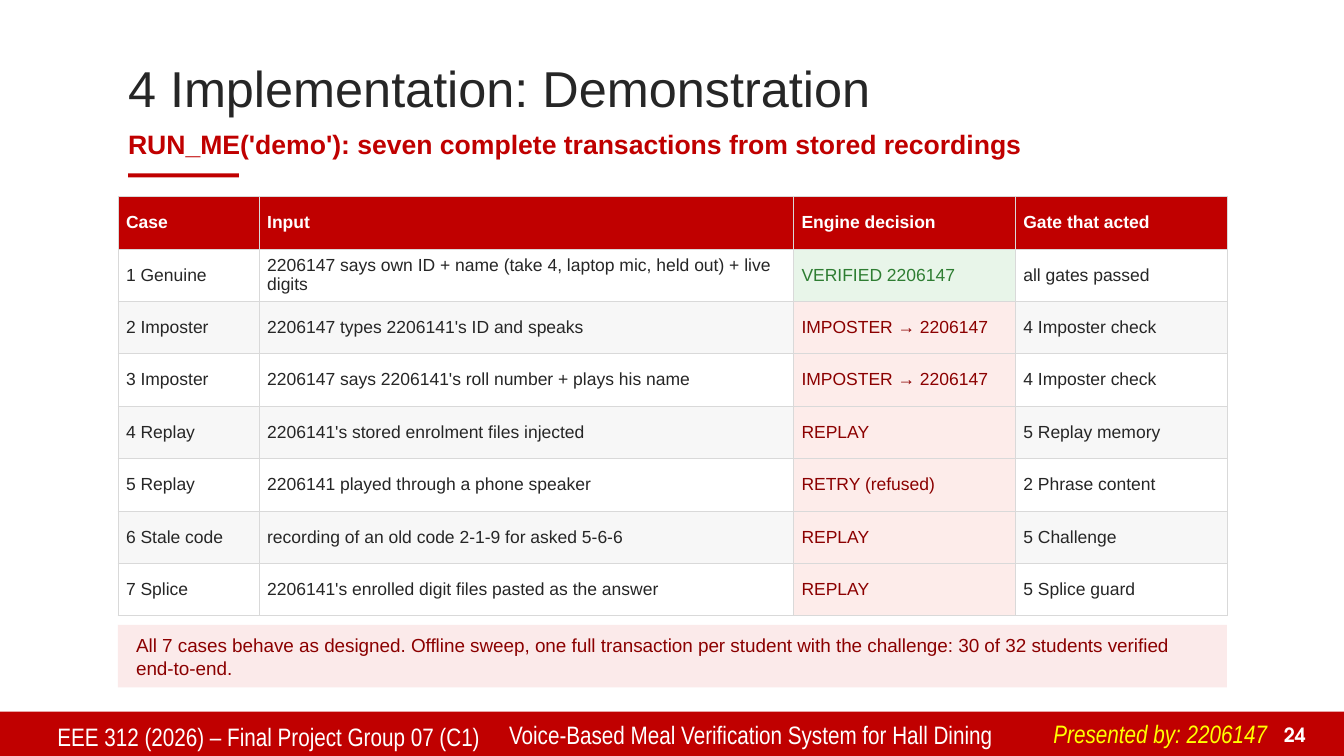
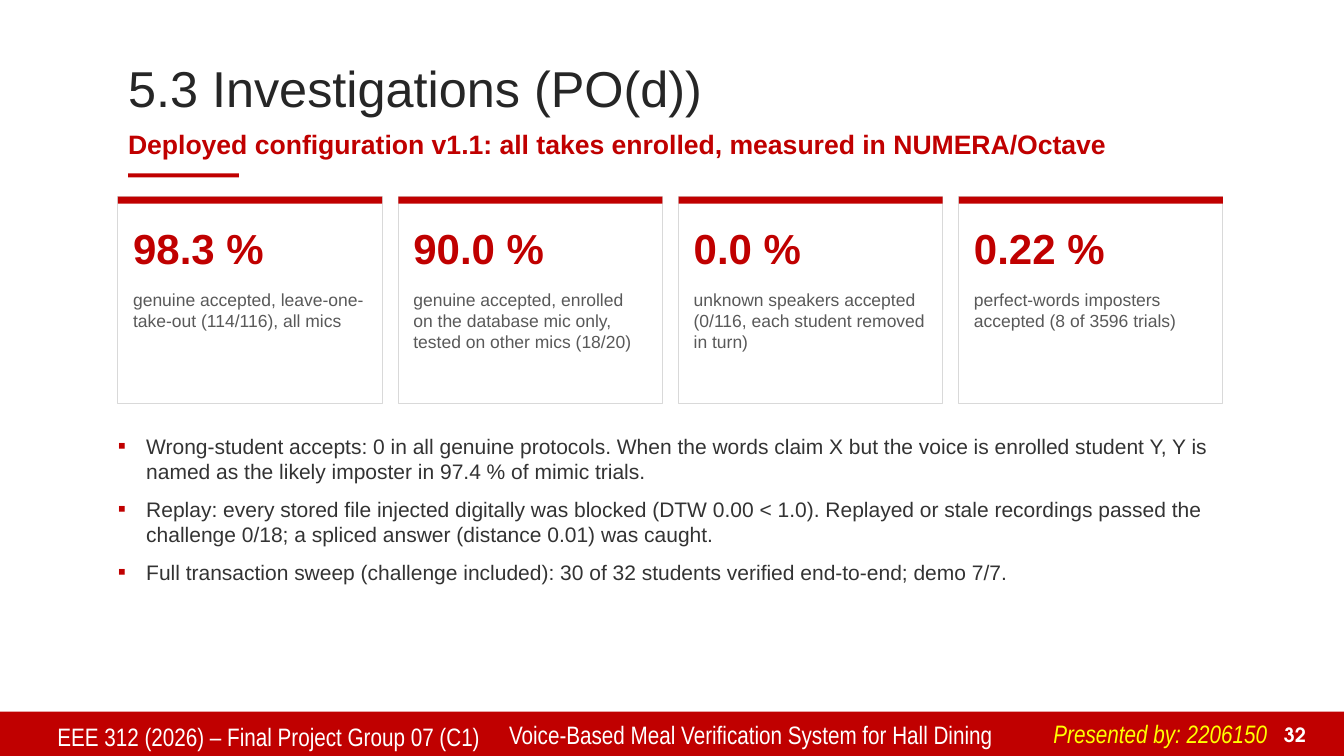
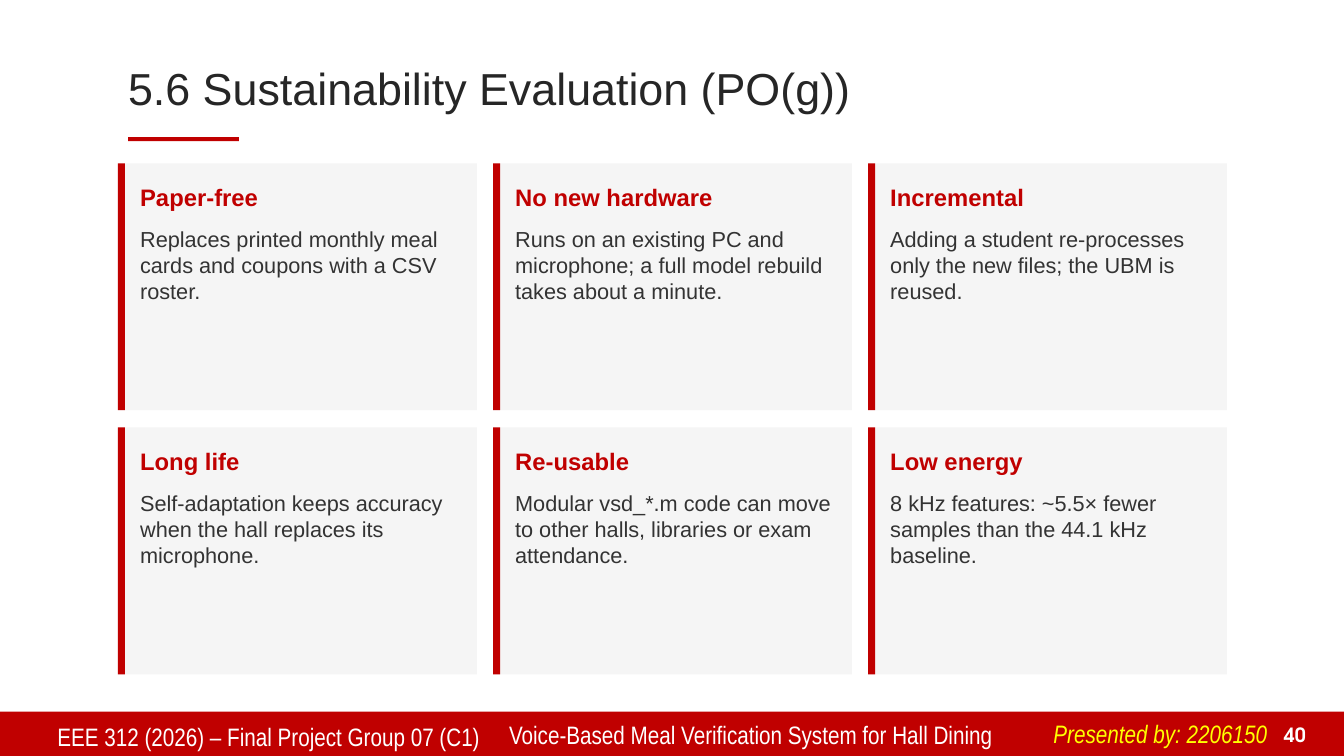
from dataclasses import dataclass

from lxml import etree
from pptx import Presentation
from pptx.dml.color import RGBColor
from pptx.enum.shapes import MSO_SHAPE
from pptx.enum.text import MSO_ANCHOR, MSO_AUTO_SIZE, PP_ALIGN
from pptx.oxml.ns import qn
from pptx.util import Inches, Pt


@dataclass(frozen=True)
class Theme:
    # Fonts
    font: str = "Arial"
    narrow: str = "Arial Narrow"
    number: str = "TeX Gyre Adventor"
    # Colours
    red: str = "C00000"
    dark_red: str = "8B0000"
    ink: str = "262626"
    text: str = "333333"
    muted: str = "595959"
    white: str = "FFFFFF"
    yellow: str = "FFFF00"
    rule: str = "D9D9D9"
    stripe: str = "F7F7F7"
    card: str = "F5F5F5"
    note: str = "FBEAEA"
    green: str = "2E7D32"
    pass_fill: str = "E8F5E9"
    fail_fill: str = "FDECEA"
    # Type sizes
    title_pt: float = 36
    long_title_pt: float = 32
    subtitle_pt: float = 19
    footer_pt: float = 18
    number_pt: float = 14
    table_pt: float = 12.5
    note_pt: float = 13.5
    value_pt: float = 30
    label_pt: float = 12.5
    list_pt: float = 15
    heading_pt: float = 17
    card_pt: float = 15.5


T = Theme()
LEFT, WIDTH, GAP = 1.17, 11, 0.16   # content column, gap between cards
TOP = 1.95                          # content top below a subtitle

DEMO_ROWS = [
    ("Case", "Input", "Engine decision", "Gate that acted"),
    ("1 Genuine", "2206147 says own ID + name (take 4, laptop mic, held out) + live digits",
     "VERIFIED 2206147", "all gates passed"),
    ("2 Imposter", "2206147 types 2206141's ID and speaks",
     "IMPOSTER → 2206147", "4 Imposter check"),
    ("3 Imposter", "2206147 says 2206141's roll number + plays his name",
     "IMPOSTER → 2206147", "4 Imposter check"),
    ("4 Replay", "2206141's stored enrolment files injected", "REPLAY", "5 Replay memory"),
    ("5 Replay", "2206141 played through a phone speaker", "RETRY (refused)", "2 Phrase content"),
    ("6 Stale code", "recording of an old code 2-1-9 for asked 5-6-6", "REPLAY", "5 Challenge"),
    ("7 Splice", "2206141's enrolled digit files pasted as the answer", "REPLAY", "5 Splice guard"),
]
DEMO_NOTE = ("All 7 cases behave as designed. Offline sweep, one full transaction per student "
             "with the challenge: 30 of 32 students verified end-to-end.")
STATS = [
    ("98.3 %", "genuine accepted, leave-one-take-out (114/116), all mics"),
    ("90.0 %", "genuine accepted, enrolled on the database mic only, tested on other mics (18/20)"),
    ("0.0 %", "unknown speakers accepted (0/116, each student removed in turn)"),
    ("0.22 %", "perfect-words imposters accepted (8 of 3596 trials)"),
]
FINDINGS = [
    "Wrong-student accepts: 0 in all genuine protocols. When the words claim X but the voice is "
    "enrolled student Y, Y is named as the likely imposter in 97.4 % of mimic trials.",
    "Replay: every stored file injected digitally was blocked (DTW 0.00 < 1.0). Replayed or stale "
    "recordings passed the challenge 0/18; a spliced answer (distance 0.01) was caught.",
    "Full transaction sweep (challenge included): 30 of 32 students verified end-to-end; demo 7/7.",
]
BENEFITS = [
    ("Paper-free", "Replaces printed monthly meal cards and coupons with a CSV roster."),
    ("No new hardware",
     "Runs on an existing PC and microphone; a full model rebuild takes about a minute."),
    ("Incremental", "Adding a student re-processes only the new files; the UBM is reused."),
    ("Long life", "Self-adaptation keeps accuracy when the hall replaces its microphone."),
    ("Re-usable", "Modular vsd_*.m code can move to other halls, libraries or exam attendance."),
    ("Low energy", "8 kHz features: ~5.5× fewer samples than the 44.1 kHz baseline."),
]


# Basic elements
def rgb(color):
    return RGBColor.from_string(color)


def style(p, size, color, font=T.font, bold=False, italic=False):
    f = p.font
    f.name, f.size, f.bold, f.italic = font, Pt(size), bold, italic
    f.color.rgb = rgb(color)


def place(shape, x, y, w, h):
    shape.left, shape.top, shape.width, shape.height = map(Inches, (x, y, w, h))


def add_rect(s, x, y, w, h, fill, line=None):
    sp = s.shapes.add_shape(MSO_SHAPE.RECTANGLE, *map(Inches, (x, y, w, h)))
    sp.shadow.inherit = False
    sp.fill.solid()
    sp.fill.fore_color.rgb = rgb(fill)
    if line:
        sp.line.color.rgb = rgb(line)
        sp.line.width = Pt(0.75)
    else:
        sp.line.fill.background()
    return sp


def set_margins(tf, margin):
    tf.margin_left = tf.margin_right = tf.margin_top = tf.margin_bottom = Inches(margin)


def add_text(s, x, y, w, h, text, size, color, anchor=MSO_ANCHOR.TOP, inset=False, **font):
    tf = s.shapes.add_textbox(*map(Inches, (x, y, w, h))).text_frame
    tf.word_wrap = True
    tf.vertical_anchor = anchor
    if not inset:
        set_margins(tf, 0)
    p = tf.paragraphs[0]
    p.text = text
    style(p, size, color, **font)
    return p


# Shared slide parts
def setup_master(prs, s):
    place(prs.slide_master.placeholders[0], LEFT, 0.5, WIDTH, 0.8)
    band = add_rect(s, 0, 7.06, 13.33, 0.45, T.red)
    prs.slide_master.shapes.element.insert(2, band.element)


def add_footer(s, number, presenter):
    add_text(s, 0.47, 7.11, 4.45, 0.39, "EEE 312 (2026) – Final Project Group 07 (C1)",
             T.footer_pt, T.white, inset=True, font=T.narrow)
    add_text(s, 4.95, 7.09, 5.35, 0.41, "Voice-Based Meal Verification System for Hall Dining",
             T.footer_pt, T.white, inset=True, font=T.narrow)
    p = add_text(s, 12.48, 7.11, 0.57, 0.34, str(number), T.number_pt, T.white,
                 MSO_ANCHOR.BOTTOM, inset=True, font=T.number, bold=True)
    p.alignment = PP_ALIGN.RIGHT
    add_text(s, 10.35, 7.08, 2.42, 0.4, f"Presented by: {presenter}",
             T.footer_pt, T.yellow, inset=True, font=T.narrow, italic=True)


def new_slide(prs, layout, title, number, presenter, subtitle=None, size=T.title_pt):
    s = prs.slides.add_slide(prs.slide_layouts.get_by_name(layout))
    tf = s.shapes.title.text_frame
    tf.auto_size = MSO_AUTO_SIZE.NONE
    tf.vertical_anchor = MSO_ANCHOR.MIDDLE
    p = tf.paragraphs[0]
    p.text = title
    p.alignment = PP_ALIGN.LEFT
    p.line_spacing = 0.9
    style(p, size, T.ink)
    add_footer(s, number, presenter)
    if subtitle:
        add_text(s, 1.27, 1.2, 10.9, 0.46, subtitle, T.subtitle_pt, T.red,
                 MSO_ANCHOR.MIDDLE, bold=True)
    add_rect(s, 1.27, 1.72 if subtitle else 1.36, 1.1, 0.04, T.red)
    return s


# Table
def add_borders(cell):
    tc_pr = cell._tc.get_or_add_tcPr()
    for i, side in enumerate(("lnL", "lnR", "lnT", "lnB")):
        ln = etree.Element(qn(f"a:{side}"), w=str(Pt(0.5)))
        fill = etree.SubElement(ln, qn("a:solidFill"))
        etree.SubElement(fill, qn("a:srgbClr"), val=T.rule)
        tc_pr.insert(i, ln)


def cell_colors(row, col, text):
    if row == 0:
        return T.red, T.white
    if col == 2:
        passed = text.startswith("VERIFIED")
        return (T.pass_fill, T.green) if passed else (T.fail_fill, T.dark_red)
    return (T.white if row % 2 else T.stripe), T.ink


def add_demo_table(s, rows, widths, row_height):
    table = s.shapes.add_table(len(rows), len(widths), Inches(LEFT), Inches(TOP),
                               Inches(WIDTH), Inches(row_height * len(rows))).table
    for column, width in zip(table.columns, widths):
        column.width = Inches(width)
    for i, row in enumerate(rows):
        for j, text in enumerate(row):
            cell = table.cell(i, j)
            fill, color = cell_colors(i, j, text)
            cell.fill.solid()
            cell.fill.fore_color.rgb = rgb(fill)
            cell.vertical_anchor = MSO_ANCHOR.MIDDLE
            cell.margin_left = cell.margin_right = Inches(0.08)
            cell.margin_top = cell.margin_bottom = Inches(0.04)
            p = cell.text_frame.paragraphs[0]
            p.text = text
            style(p, T.table_pt, color, bold=i == 0)
            add_borders(cell)


def add_note(s, y, text):
    add_rect(s, LEFT, y, WIDTH, 0.62, T.note)
    add_text(s, LEFT + 0.18, y + 0.06, 10.64, 0.5, text, T.note_pt, T.dark_red, MSO_ANCHOR.MIDDLE)


# Cards
def add_stat(s, x, y, w, value, label):
    add_rect(s, x, y, w, 2.05, T.white, T.rule)
    add_rect(s, x, y, w, 0.07, T.red)
    add_text(s, x + 0.15, y + 0.16, w - 0.3, 0.7, value, T.value_pt, T.red,
             MSO_ANCHOR.MIDDLE, bold=True)
    add_text(s, x + 0.15, y + 0.92, w - 0.3, 1.05, label, T.label_pt, T.muted)


def add_card(s, x, y, w, h, heading, text):
    add_rect(s, x, y, w, h, T.card)
    add_rect(s, x, y, 0.07, h, T.red)
    add_text(s, x + 0.22, y + 0.12, w - 0.36, 0.42, heading, T.heading_pt, T.red,
             MSO_ANCHOR.MIDDLE, bold=True)
    add_text(s, x + 0.22, y + 0.62, w - 0.36, h - 0.72, text, T.card_pt, T.text)


# Bulleted list
def add_bullet(p):
    p_pr = p._p.get_or_add_pPr()
    p_pr.set("marL", str(Inches(0.28)))
    p_pr.set("indent", str(-Inches(0.28)))
    color = etree.SubElement(p_pr, qn("a:buClr"))
    etree.SubElement(color, qn("a:srgbClr"), val=T.red)
    etree.SubElement(p_pr, qn("a:buSzPct"), val="110000")
    etree.SubElement(p_pr, qn("a:buFont"), typeface=T.font)
    etree.SubElement(p_pr, qn("a:buChar"), char="▪")


def fill_list(body, items):
    place(body, LEFT, 4.3, WIDTH, 2.5)
    tf = body.text_frame
    tf.auto_size = MSO_AUTO_SIZE.NONE
    set_margins(tf, 0)
    for i, item in enumerate(items):
        p = tf.add_paragraph() if i else tf.paragraphs[0]
        p.text = item
        add_bullet(p)
        p.space_before, p.space_after = Pt(0), Pt(9)
        style(p, T.list_pt, T.text)


def main():
    prs = Presentation()
    prs.slide_width, prs.slide_height = Inches(13.33), Inches(7.5)

    # Demonstration
    s = new_slide(prs, "Title Only", "4 Implementation: Demonstration", 24, "2206147",
                  "RUN_ME('demo'): seven complete transactions from stored recordings")
    setup_master(prs, s)
    add_demo_table(s, DEMO_ROWS, (1.4, 5.3, 2.2, 2.1), 0.52)
    add_note(s, 6.2, DEMO_NOTE)

    # Investigations
    s = new_slide(prs, "Title and Content", "5.3 Investigations (PO(d))", 32, "2206150",
                  "Deployed configuration v1.1: all takes enrolled, measured in NUMERA/Octave")
    stat_w = 2.62
    for i, (value, label) in enumerate(STATS):
        add_stat(s, LEFT + i * (stat_w + GAP), TOP, stat_w, value, label)
    fill_list(s.placeholders[1], FINDINGS)

    # Sustainability
    s = new_slide(prs, "Title Only", "5.6 Sustainability Evaluation (PO(g))", 40, "2206150",
                  size=T.long_title_pt)
    card_w, card_h = 3.56, 2.45
    for i, (heading, text) in enumerate(BENEFITS):
        row, col = divmod(i, 3)
        add_card(s, LEFT + col * (card_w + GAP), 1.62 + row * (card_h + 0.17),
                 card_w, card_h, heading, text)

    prs.save("out.pptx")


if __name__ == "__main__":
    main()
